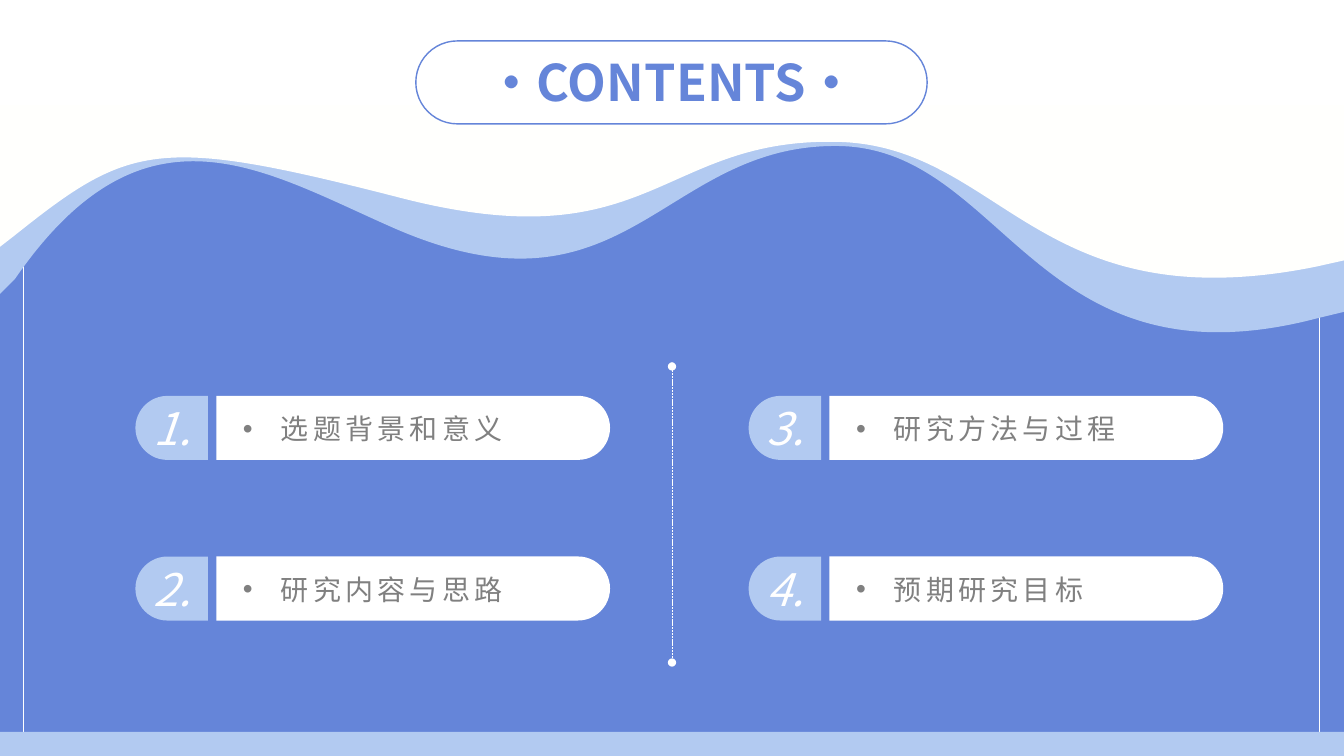
from lxml.etree import SubElement
from pptx import Presentation
from pptx.dml.color import RGBColor
from pptx.enum.dml import MSO_LINE
from pptx.enum.shapes import MSO_CONNECTOR, MSO_SHAPE
from pptx.enum.text import MSO_ANCHOR, PP_ALIGN
from pptx.oxml.ns import qn
from pptx.util import Pt

PX = 9525
WIDTH, HEIGHT = 1280, 720
FONT = "Noto Sans CJK SC"
BLUE = RGBColor(0x65, 0x85, 0xD9)
LIGHT = RGBColor(0xB2, 0xCA, 0xF1)
IVORY = RGBColor(0xFF, 0xFF, 0xFD)
WHITE = RGBColor(0xFF, 0xFF, 0xFF)
GRAY = RGBColor(0x80, 0x80, 0x80)

TOPICS = ["选题背景和意义", "研究内容与思路", "研究方法与过程", "预期研究目标"]
LIGHT_EDGE = [
    (1280, 297), (1255, 303),
    (985, 374), (958, 140), (797, 139),
    (630, 138), (597, 313), (377, 218),
    (251, 163), (138, 86), (14, 266),
    (0, 280),
]
IVORY_EDGE = [
    (1280, 248), (1253, 254),
    (984, 308), (954, 135), (792, 135),
    (626, 134), (618, 251), (376, 187),
    (149, 129), (123, 137), (13, 225),
    (0, 235),
]


def emu(*lengths):
    """Turn pixel lengths into EMU."""
    return [round(n * PX) for n in lengths]


def paint(sp, fill, line=None):
    """Give a shape a flat fill and an optional outline."""
    sp.shadow.inherit = False
    sp.fill.solid()
    sp.fill.fore_color.rgb = fill
    if line is None:
        sp.line.fill.background()
    else:
        sp.line.color.rgb = line
        sp.line.width = Pt(1)


def add_block(slide, kind, box, fill, line=None):
    """Add a preset shape."""
    sp = slide.shapes.add_shape(kind, *emu(*box))
    paint(sp, fill, line)
    return sp


def add_half_pill(slide, box, fill, rotation):
    """Add a bar whose end is rounded on the side the rotation picks."""
    x, y, w, h = box
    turned = (x + (w - h) / 2, y + (h - w) / 2, h, w)
    sp = add_block(slide, MSO_SHAPE.ROUND_2_SAME_RECTANGLE, turned, fill)
    sp.adjustments[0], sp.adjustments[1] = 0.5, 0
    sp.rotation = rotation


def add_rule(slide, x, top, bottom, dotted=False):
    """Add a thin white vertical line, dotted with round ends on request."""
    line = slide.shapes.add_connector(MSO_CONNECTOR.STRAIGHT, *emu(x, top, x, bottom))
    line.line.color.rgb = WHITE
    line.line.width = Pt(0.5)
    if dotted:
        line.line.dash_style = MSO_LINE.SQUARE_DOT
        ln = line.line._get_or_add_ln()
        for end in ("a:headEnd", "a:tailEnd"):
            SubElement(ln, qn(end), type="oval")
    SubElement(line._element.spPr, qn("a:effectLst"))


def style_text(sp, text, size, color, align=PP_ALIGN.CENTER):
    """Write one line of text into a shape and return its run."""
    tf = sp.text_frame
    tf.word_wrap = True
    tf.vertical_anchor = MSO_ANCHOR.MIDDLE
    tf.text = text
    p = tf.paragraphs[0]
    p.alignment = align
    r = p.runs[0]
    r.font.size = Pt(size)
    r.font.name = FONT
    r.font.color.rgb = color
    SubElement(r._r.get_or_add_rPr(), qn("a:ea"), typeface=FONT)
    return r


def add_wave(slide, top, edge, fill):
    """Fill from a level top to an edge whose inner points form cubic curves."""
    builder = slide.shapes.build_freeform(*emu(WIDTH, top), scale=1.0)
    builder.add_line_segments([emu(*point) for point in [*edge, (0, top)]], close=True)
    sp = builder.convert_to_shape()
    paint(sp, fill)
    segments = list(sp._element.iter(qn("a:lnTo")))
    for first in range(2, len(edge) - 1, 3):
        trio = segments[first:first + 3]
        curve = SubElement(trio[0].getparent(), qn("a:cubicBezTo"))
        trio[0].addprevious(curve)
        for segment in trio:
            curve.append(segment[0])
            segment.getparent().remove(segment)


def add_backdrop(slide):
    """Draw the blue field, side rules, bottom strip and waves."""
    add_block(slide, MSO_SHAPE.RECTANGLE, (0, 36, WIDTH, HEIGHT - 36), BLUE)
    for x in (22, 1257):
        add_rule(slide, x, 89, 708)
    add_block(slide, MSO_SHAPE.RECTANGLE, (0, 697, WIDTH, 23), LIGHT)
    add_wave(slide, 84, LIGHT_EDGE, LIGHT)
    add_wave(slide, 84, IVORY_EDGE, IVORY)
    add_block(slide, MSO_SHAPE.RECTANGLE, (0, 0, WIDTH, 100), WHITE)


def add_title(slide, box):
    """Place the heading inside its outlined capsule."""
    x, y, w, h = box
    capsule = add_block(slide, MSO_SHAPE.ROUNDED_RECTANGLE, box, WHITE, BLUE)
    capsule.adjustments[0] = 0.5
    title = slide.shapes.title
    title.left, title.top, title.width, title.height = emu(x + 43, y + 5, w - 86, h - 12)
    style_text(title, "·CONTENTS·", 36, BLUE).font.bold = True
    capsule._element.addnext(title._element)


def add_topic(slide, box, number, topic):
    """Draw a numbered tab and its bulleted topic bar."""
    x, y, w, h = box
    add_half_pill(slide, (x, y, 69, h), LIGHT, 270)
    tab = slide.shapes.add_textbox(*emu(x - 15, y, 100, h))
    style_text(tab, f"{number}.", 32, WHITE).font.italic = True
    add_half_pill(slide, (x + 77, y, w - 77, h), WHITE, 90)
    label = slide.shapes.add_textbox(*emu(x + 93, y + 10, 296, 42))
    r = style_text(label, topic, 20, GRAY, PP_ALIGN.LEFT)
    r._r.get_or_add_rPr().set("spc", "300")
    pPr = label.text_frame.paragraphs[0]._p.get_or_add_pPr()
    pPr.set("marL", str(36 * PX))
    pPr.set("indent", str(-36 * PX))
    SubElement(pPr, qn("a:buFont"), typeface="Arial")
    SubElement(pPr, qn("a:buChar"), char="•")


def main():
    """Build the contents slide."""
    prs = Presentation()
    prs.slide_width, prs.slide_height = emu(WIDTH, HEIGHT)
    slide = prs.slides.add_slide(prs.slide_layouts[5])
    add_backdrop(slide)
    add_rule(slide, 640, 349, 631, dotted=True)
    for i, topic in enumerate(TOPICS):
        column, row = divmod(i, 2)
        add_topic(slide, (129 + 584 * column, 377 + 153 * row, 452, 61), i + 1, topic)
    add_title(slide, (396, 39, 487, 79))
    prs.save("out.pptx")


if __name__ == "__main__":
    main()
